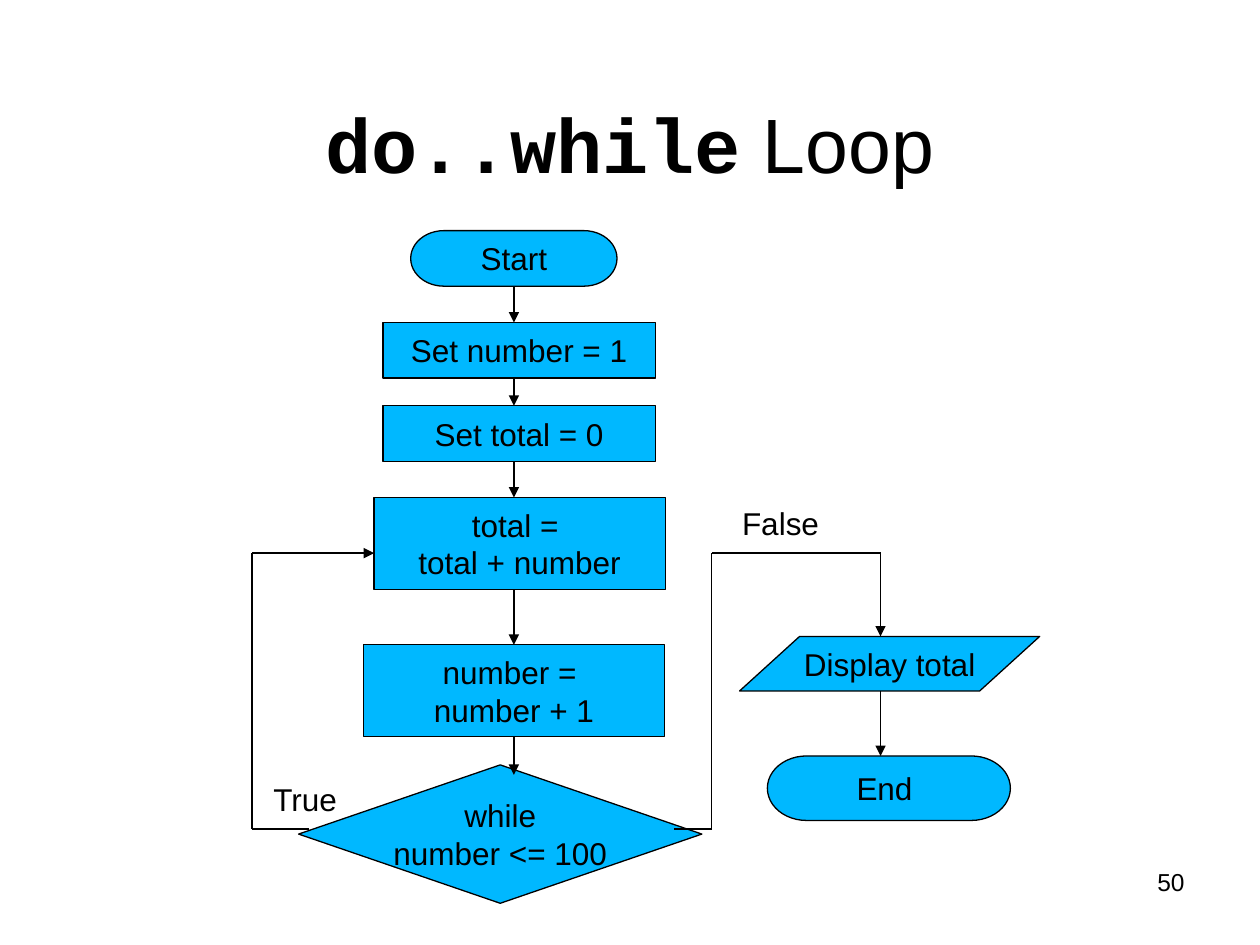
from lxml.etree import SubElement
from pptx import Presentation
from pptx.dml.color import RGBColor
from pptx.enum.shapes import MSO_CONNECTOR, MSO_SHAPE as SHAPE
from pptx.enum.text import MSO_ANCHOR as ANCHOR, MSO_AUTO_SIZE as AUTO, PP_ALIGN as ALIGN
from pptx.oxml.ns import qn
from pptx.util import Cm, Pt

COLORS = {"black": "000000", "blue": "00B8FF", "white": "FFFFFF"}
BLACK = RGBColor.from_string(COLORS["black"])
BODY = {"name": "Arial", "size": Pt(18), "bold": False}


def write(tf, lines, align, frame, font):
    for key, value in frame.items():
        setattr(tf, key, value)
    for i, line in enumerate(lines):
        p = tf.paragraphs[0] if i == 0 else tf.add_paragraph()
        p.alignment = align
        r = p.add_run()
        r.text = line
        for key, value in font.items():
            setattr(r.font, key, value)
        r.font.color.rgb = BLACK


def connect(s, x1, y1, x2, y2, arrow):
    c = s.shapes.add_connector(MSO_CONNECTOR.STRAIGHT, Cm(x1), Cm(y1), Cm(x2), Cm(y2))
    c.line.width = Pt(0.75)
    c.line.color.rgb = BLACK
    if arrow:
        SubElement(c.line._get_or_add_ln(), qn("a:tailEnd"), type="triangle")
    SubElement(c._element.spPr, qn("a:effectLst"))
    return c


prs = Presentation()
prs.slide_width, prs.slide_height = Cm(25.4), Cm(19.05)
s = prs.slides.add_slide(prs.slide_layouts[5])
s.background.fill.solid()
s.background.fill.fore_color.rgb = RGBColor.from_string(COLORS["white"])

title = s.shapes.title
place = {"left": Cm(1.27), "top": Cm(0.76), "width": Cm(22.86), "height": Cm(3.18)}
for key, value in place.items():
    setattr(title, key, value)
title_font = {"name": "Courier New", "size": Pt(44), "bold": True}
title_frame = {"vertical_anchor": ANCHOR.BOTTOM, "auto_size": AUTO.NONE, "word_wrap": True}
write(title.text_frame, ["do..while"], ALIGN.CENTER, title_frame, title_font)
r = title.text_frame.paragraphs[0].add_run()
r.text = " Loop"
for key, value in {**title_font, "name": "Arial", "bold": False}.items():
    setattr(r.font, key, value)
r.font.color.rgb = BLACK

steps = [
    ("start", SHAPE.FLOWCHART_TERMINATOR, 8.28, 4.65, 4.16, 1.12, ["Start"]),
    ("set number", SHAPE.FLOWCHART_PROCESS, 7.72, 6.5, 5.49, 1.12, ["Set number = 1"]),
    ("set total", SHAPE.FLOWCHART_PROCESS, 7.72, 8.18, 5.49, 1.12, ["Set total = 0"]),
    ("add", SHAPE.FLOWCHART_PROCESS, 7.54, 10.03, 5.87, 1.85, ["total = ", "total + number"]),
    ("count", SHAPE.FLOWCHART_PROCESS, 7.33, 13, 6.06, 1.85, ["number = ", "number + 1"]),
    ("test", SHAPE.FLOWCHART_DECISION, 6.02, 15.42, 8.13, 2.79, ["while", "number <= 100"]),
    ("display", SHAPE.FLOWCHART_DATA, 14.91, 12.83, 6.05, 1.1, ["Display total"]),
    ("end", SHAPE.FLOWCHART_TERMINATOR, 15.47, 15.24, 4.9, 1.3, ["End "]),
]
nodes = {}
for name, kind, x, y, w, h, lines in steps:
    sp = s.shapes.add_shape(kind, Cm(x), Cm(y), Cm(w), Cm(h))
    sp.shadow.inherit = False
    sp.fill.solid()
    sp.fill.fore_color.rgb = RGBColor.from_string(COLORS["blue"])
    sp.line.color.rgb = BLACK
    sp.line.width = Pt(0.75)
    write(sp.text_frame, lines, ALIGN.CENTER,
          {"vertical_anchor": ANCHOR.MIDDLE, "word_wrap": False}, BODY)
    nodes[name] = sp

main_x, out_x, true_x, false_x = 10.36, 17.75, 5.08, 14.35
loop_y, test_y = 11.15, 16.71

for y1, y2, source, target in [
    (5.77, 6.5, "start", None),
    (7.62, 8.18, None, None),
    (9.3, 10.03, None, None),
    (11.88, 13, None, "count"),
    (14.85, 15.62, "count", None),
]:
    c = connect(s, main_x, y1, main_x, y2, True)
    if source:
        c.begin_connect(nodes[source], 2)
    if target:
        c.end_connect(nodes[target], 0)

for x1, y1, x2, y2, arrow in [
    (true_x, test_y, 6.22, test_y, False),
    (true_x, loop_y, true_x, test_y, False),
    (true_x, loop_y, 7.54, loop_y, True),
    (13.59, test_y, false_x, test_y, False),
    (false_x, loop_y, false_x, test_y, False),
    (false_x, loop_y, out_x, loop_y, False),
    (out_x, loop_y, out_x, 12.83, True),
    (out_x, 13.93, out_x, 15.24, True),
]:
    connect(s, x1, y1, x2, y2, arrow)

for text, x, y, w, h, align, wrap, size in [
    ("False", 14.71, 10.03, 2.08, 1.04, ALIGN.LEFT, False, 18),
    ("True", 5.26, 15.6, 1.8, 1.02, ALIGN.LEFT, False, 18),
    ("50", 18.21, 17.35, 5.92, 1.32, ALIGN.RIGHT, True, 14),
]:
    box = s.shapes.add_textbox(Cm(x), Cm(y), Cm(w), Cm(h))
    write(box.text_frame, [text], align, {"word_wrap": wrap}, {**BODY, "size": Pt(size)})

prs.save("out.pptx")
